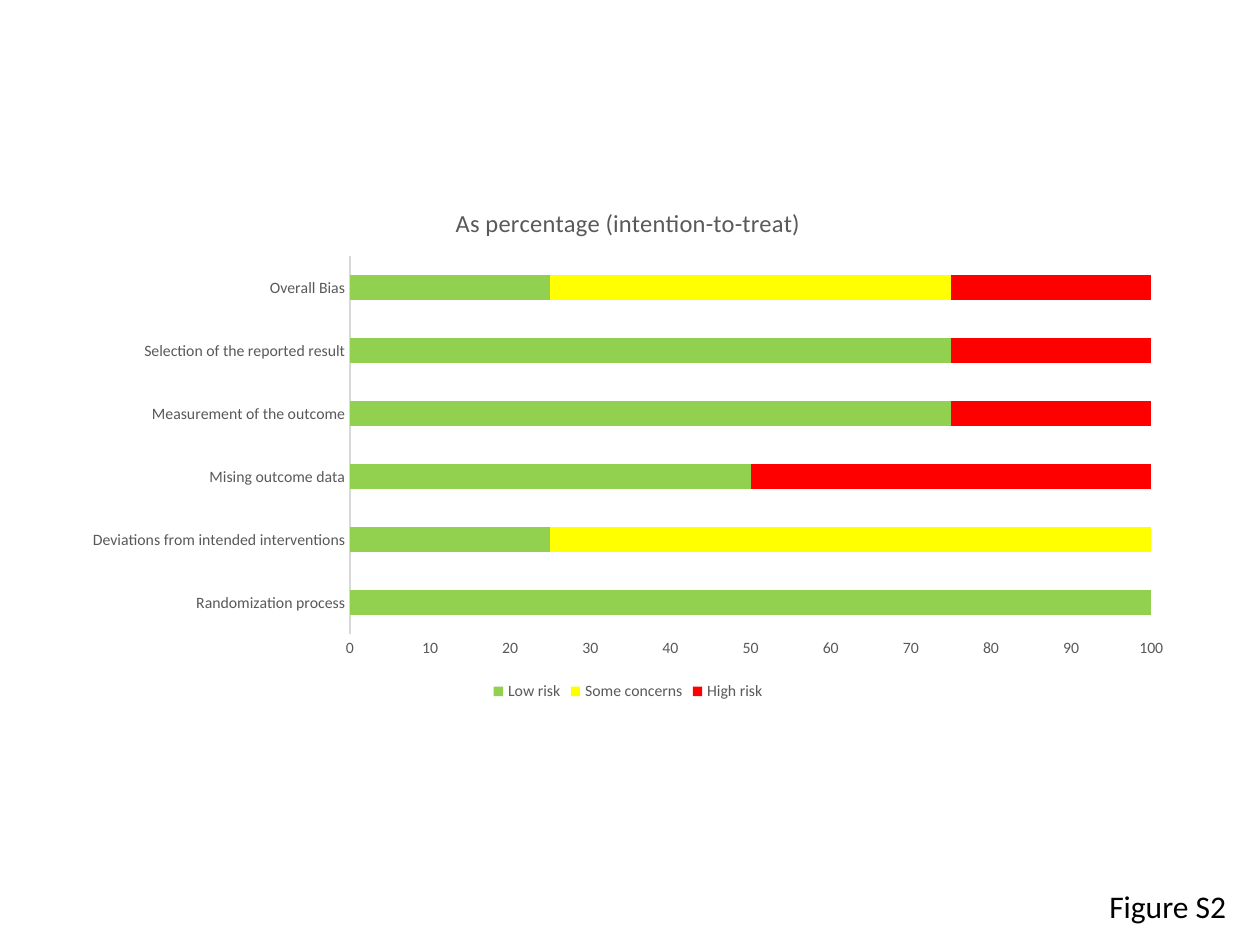
from pptx import Presentation
from pptx.chart.data import CategoryChartData
from pptx.dml.color import RGBColor
from pptx.enum.chart import XL_CHART_TYPE, XL_LEGEND_POSITION, XL_TICK_MARK
from pptx.enum.text import MSO_AUTO_SIZE, PP_ALIGN
from pptx.util import Inches, Pt

STACKED = XL_CHART_TYPE.BAR_STACKED
BOTTOM = XL_LEGEND_POSITION.BOTTOM
NO_TICK = XL_TICK_MARK.NONE
RIGHT = PP_ALIGN.RIGHT
GROW = MSO_AUTO_SIZE.SHAPE_TO_FIT_TEXT

BLACK = RGBColor(0x00, 0x00, 0x00)
GRAY = RGBColor(0x59, 0x59, 0x59)
PALE = RGBColor(0xD9, 0xD9, 0xD9)
GREEN = RGBColor(0x92, 0xD0, 0x50)
YELLOW = RGBColor(0xFF, 0xFF, 0x00)
RED = RGBColor(0xFF, 0x00, 0x00)

WIDE, HIGH = 10, 7.5  # slide size in inches
BLANK = 6

DOMAINS = [
    "Randomization process",
    "Deviations from intended interventions",
    "Mising outcome data",
    "Measurement of the outcome",
    "Selection of the reported result",
    "Overall Bias",
]
RISKS = [
    ("Low risk", GREEN, (100, 25, 50, 75, 75, 25)),
    ("Some concerns", YELLOW, (0, 75, 0, 0, 0, 50)),
    ("High risk", RED, (0, 0, 50, 25, 25, 25)),
]


class Page:
    """Holds the style and the current slide; lengths are inches on a 10 x 7.5 grid."""

    face = "Calibri"

    def __init__(self, deck):
        self.slide = deck.slides.add_slide(deck.slide_layouts[BLANK])

    def style(self, font, size, color):
        font.name = self.face
        font.size = Pt(size)
        font.bold = False
        font.color.rgb = color

    def label(self, text, box, size):
        shape = self.slide.shapes.add_textbox(*map(Inches, box))
        frame = shape.text_frame
        frame.word_wrap = False
        frame.auto_size = GROW
        para = frame.paragraphs[0]
        para.alignment = RIGHT
        run = para.add_run()
        run.text = text
        self.style(run.font, size, BLACK)

    def bars(self, title, box):
        data = CategoryChartData()
        data.categories = DOMAINS
        for name, _, vals in RISKS:
            data.add_series(name, vals)
        chart = self.slide.shapes.add_chart(STACKED, *map(Inches, box), data).chart
        self.style(chart.font, 10, BLACK)

        # Title
        chart.has_title = True
        run = chart.chart_title.text_frame.paragraphs[0].add_run()
        run.text = title
        self.style(run.font, 14, GRAY)
        chart.chart_title.include_in_layout = False

        # Axes
        for axis in (chart.category_axis, chart.value_axis):
            axis.major_tick_mark = axis.minor_tick_mark = NO_TICK
            axis.has_major_gridlines = False
            self.style(axis.tick_labels.font, 9, GRAY)
        line = chart.category_axis.format.line
        line.color.rgb = PALE
        line.width = Pt(0.75)
        scale = chart.value_axis
        scale.format.line.fill.background()
        scale.minimum_scale, scale.maximum_scale = 0, 100
        scale.major_unit = 10

        # Legend
        chart.has_legend = True
        chart.legend.position = BOTTOM
        chart.legend.include_in_layout = False
        self.style(chart.legend.font, 9, GRAY)

        # Bars
        plot = chart.plots[0]
        plot.gap_width, plot.overlap = 150, 100
        plot.vary_by_categories = False
        for bar, (_, color, _) in zip(plot.series, RISKS):
            bar.format.fill.solid()
            bar.format.fill.fore_color.rgb = color
            bar.invert_if_negative = False


def main():
    deck = Presentation()
    deck.slide_width, deck.slide_height = Inches(WIDE), Inches(HIGH)
    page = Page(deck)
    page.label("Figure S2", (8.69, 6.99, 1.14, 0.4), 18)
    page.bars("As percentage (intention-to-treat)", (0.56, 1.46, 8.85, 4.14))
    deck.save("out.pptx")


if __name__ == "__main__":
    main()
